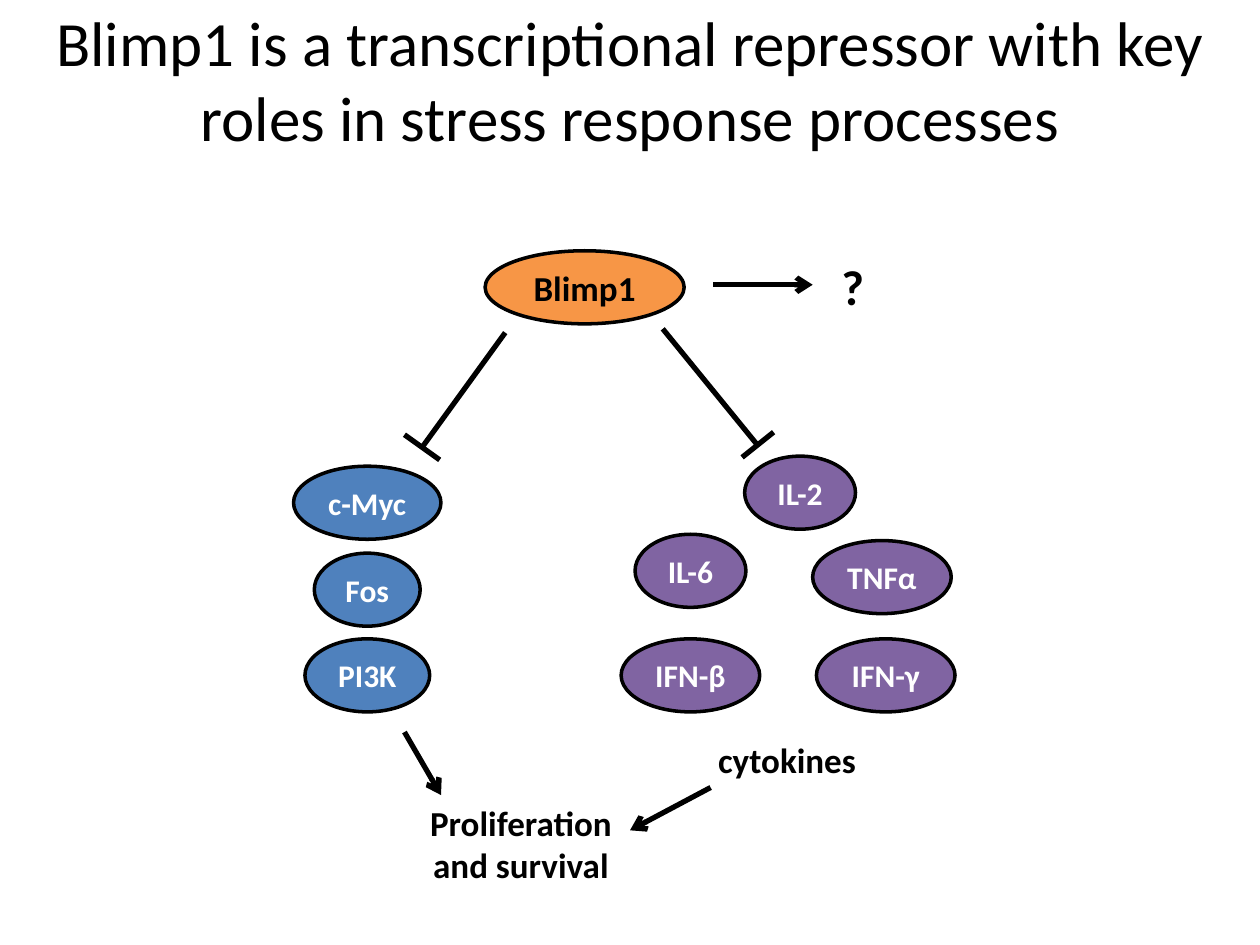
from lxml.etree import SubElement
from pptx import Presentation
from pptx.dml.color import RGBColor
from pptx.enum.shapes import MSO_CONNECTOR, MSO_SHAPE
from pptx.enum.text import MSO_ANCHOR, PP_ALIGN
from pptx.oxml.ns import qn
from pptx.util import Inches, Pt

COLORS = {
    "black": "000000",
    "white": "FFFFFF",
    "repressor": "F79646",
    "growth": "4F81BD",
    "cytokine": "8064A2",
}
FONT = "Calibri"
NODE_HEIGHT = 0.58

# name, centre x, top, width
GROWTH_GENES = [
    ("c-Myc", 2.915, 3.7, 1.17),
    ("Fos", 2.915, 4.39, 0.84),
    ("PI3K", 2.915, 5.07, 0.99),
]
CYTOKINES = [
    ("IL-2", 6.35, 3.62, 0.88),
    ("IL-6", 5.48, 4.24, 0.88),
    ("TNFα", 7.0, 4.29, 1.1),
    ("IFN-β", 5.48, 5.07, 1.1),
    ("IFN-γ", 7.03, 5.07, 1.1),
]
# stem start, stem end, bar start, bar end
INHIBITIONS = [
    ((4.01, 2.64), (3.35, 3.55), (3.21, 3.45), (3.49, 3.65)),
    ((5.26, 2.61), (6.01, 3.53), (6.14, 3.43), (5.89, 3.63)),
]
ARROWS = [
    ((5.64, 6.25), (5.0, 6.59)),
    ((3.21, 5.81), (3.5, 6.31)),
    ((5.66, 2.26), (6.45, 2.26)),
]


def color(name):
    return RGBColor.from_string(COLORS[name])


def write(shape, text, size, font_color="black", bold=True,
          align=PP_ALIGN.CENTER, wrap=True, anchor=MSO_ANCHOR.MIDDLE):
    frame = shape.text_frame
    frame.text = text
    frame.word_wrap = wrap
    frame.vertical_anchor = anchor
    para = frame.paragraphs[0]
    para.alignment = align
    font = para.runs[0].font
    font.name = FONT
    font.size = Pt(size)
    font.bold = bold
    font.color.rgb = color(font_color)


def add_label(page, text, left, top, width, height, size, **style):
    box = page.shapes.add_textbox(
        Inches(left), Inches(top), Inches(width), Inches(height))
    write(box, text, size, **style)


def add_node(page, name, center, top, width, fill, size=18, font_color="white"):
    node = page.shapes.add_shape(
        MSO_SHAPE.OVAL, Inches(center - width / 2), Inches(top),
        Inches(width), Inches(NODE_HEIGHT))
    node.shadow.inherit = False
    node.fill.solid()
    node.fill.fore_color.rgb = color(fill)
    node.line.color.rgb = color("black")
    node.line.width = Pt(2)
    write(node, name, size, font_color, wrap=False)


def add_line(page, start, end, arrow=False):
    line = page.shapes.add_connector(
        MSO_CONNECTOR.STRAIGHT, *(Inches(value) for value in start + end))
    line.line.color.rgb = color("black")
    line.line.width = Pt(3)
    if arrow:
        SubElement(line.line._get_or_add_ln(), qn("a:tailEnd"), type="arrow")
    SubElement(line._element.spPr, qn("a:effectLst"))


def add_inhibition(page, stem_start, stem_end, bar_start, bar_end):
    """Draw a stem that ends in a crossbar."""
    add_line(page, stem_start, stem_end)
    add_line(page, bar_start, bar_end)


def main():
    deck = Presentation()
    deck.slide_width = Inches(10)
    deck.slide_height = Inches(7.5)
    page = deck.slides.add_slide(deck.slide_layouts[6])

    add_label(page, "Blimp1 is a transcriptional repressor with key roles "
              "in stress response processes", 0, 0, 10, 1.25, 36, bold=False)
    add_node(page, "Blimp1", 4.64, 1.99, 1.58, "repressor", 20, "black")
    for inhibition in INHIBITIONS:
        add_inhibition(page, *inhibition)
    for gene in GROWTH_GENES:
        add_node(page, *gene, "growth")
    for cytokine in CYTOKINES:
        add_node(page, *cytokine, "cytokine")

    add_label(page, "cytokines", 5.6, 5.81, 1.31, 0.44, 20,
              align=PP_ALIGN.LEFT, wrap=False, anchor=MSO_ANCHOR.TOP)
    add_label(page, "Proliferation and survival", 3.25, 6.31, 1.77, 0.77, 20,
              anchor=MSO_ANCHOR.TOP)
    add_label(page, "?", 6.58, 1.99, 0.38, 0.57, 28,
              align=PP_ALIGN.LEFT, wrap=False, anchor=MSO_ANCHOR.TOP)
    for start, end in ARROWS:
        add_line(page, start, end, arrow=True)

    deck.save("out.pptx")


if __name__ == "__main__":
    main()
